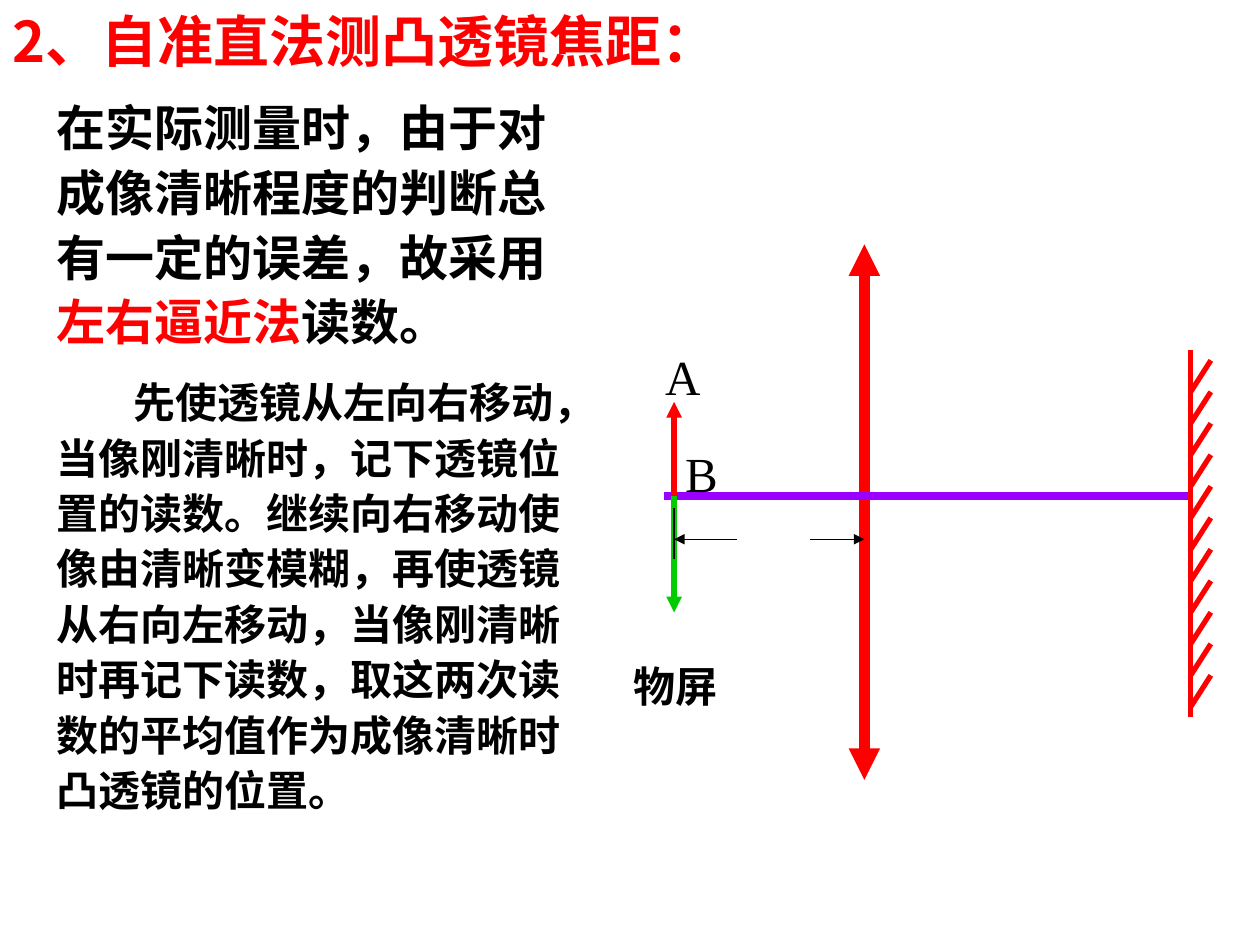
"""Build a slide on measuring a convex lens's focal length by autocollimation."""
from pptx import Presentation
from pptx.dml.color import RGBColor as RGB
from pptx.enum.shapes import MSO_CONNECTOR as CONN
from pptx.enum.text import MSO_ANCHOR as ANCHOR, MSO_AUTO_SIZE as AUTO, PP_ALIGN as ALIGN
from pptx.oxml.ns import qn
from pptx.util import Inches, Pt
from lxml.etree import SubElement

RED, BLACK, PURPLE, GREEN = "FF0000", "000000", "9900FF", "00CC00"
CJK, LATIN = "Noto Sans CJK SC", "Times New Roman"

prs = Presentation()
prs.slide_width, prs.slide_height = Inches(10), Inches(7.5)
COL, ROW = prs.slide_width / 100, prs.slide_height / 75
s = prs.slides.add_slide(prs.slide_layouts[1])


def write(sp, box, paras, size, bold=True, font=LATIN):
    """Place a text shape on the grid and fill it with coloured runs."""
    for name, value, unit in zip(("left", "top", "width", "height"), box, (COL, ROW) * 2):
        setattr(sp, name, round(value * unit))
    tf = sp.text_frame
    for name, value in dict(word_wrap=True, auto_size=AUTO.NONE, vertical_anchor=ANCHOR.TOP).items():
        setattr(tf, name, value)
    for i, runs in enumerate(paras):
        p = tf.add_paragraph() if i else tf.paragraphs[0]
        p.alignment, p.space_before = ALIGN.LEFT, Pt(0)
        for text, color in runs:
            r = p.add_run()
            r.text = text
            for name, value in dict(size=Pt(size), bold=bold, name=font).items():
                setattr(r.font, name, value)
            r.font.color.rgb = RGB.from_string(color)
            SubElement(r.font._element, qn("a:ea")).set("typeface", CJK)
    return tf


def line(shapes, x1, y1, x2, y2, color, width, arrow=False):
    """Draw a straight line on the grid, with an optional end arrow."""
    c = shapes.add_connector(CONN.STRAIGHT, *(round(v * u) for v, u in zip((x1, y1, x2, y2), (COL, ROW) * 2)))
    c.line.color.rgb = RGB.from_string(color)
    c.line.width = Pt(width)
    if arrow:
        SubElement(c.line._get_or_add_ln(), qn("a:tailEnd")).set("type", "triangle")
    SubElement(c._element.spPr, qn("a:effectLst"))


write(s.shapes.title, (0, 0, 79.2, 6.4), [[("2、自准直法测凸透镜焦距：", RED)]], 32, font=CJK)

body = write(s.placeholders[1], (3.5, 6.8, 42.9, 59.3), [
    [("在实际测量时，由于对成像清晰程度的判断总有一定的误差，故采用", BLACK),
     ("左右逼近法", RED), ("读数。", BLACK)],
    [("先使透镜从左向右移动，当像刚清晰时，记下透镜位置的读数。继续向右移动使像由清晰变模糊，"
      "再使透镜从右向左移动，当像刚清晰时再记下读数，取这两次读数的平均值作为成像清晰时凸透镜的位置。", BLACK)],
], 28)
for p, indent, before, size in zip(body.paragraphs, (0, 6.1), (0, 12), (28, 24)):
    p.line_spacing, p.space_before = 1.1, Pt(before)
    pPr = p._p.get_or_add_pPr()
    pPr.set("marL", "0")
    pPr.set("indent", str(round(indent * COL)))
    SubElement(pPr, qn("a:buNone"))
    for r in p.runs:
        r.font.size = Pt(size)

diagram = s.shapes.add_group_shape().shapes
LENS, OBJECT, MIRROR, AXIS, FOCUS = 68.6, 53.5, 94.5, 39.4, 42.8
line(diagram, LENS, 32.7, LENS, 61.9, RED, 6, True)
line(diagram, LENS, 48.7, LENS, 19.4, RED, 6, True)
line(diagram, 52.7, AXIS, MIRROR, AXIS, PURPLE, 4.5)
line(diagram, OBJECT, AXIS, OBJECT, 31.9, RED, 3, True)
line(diagram, MIRROR, 27.8, MIRROR, 56.9, RED, 3)
for i in range(11):
    y = 28.6 + 2.5 * i
    line(diagram, MIRROR + 1.6, y, MIRROR, y + 2.5, RED, 3)
line(diagram, OBJECT, AXIS, OBJECT, 48.6, GREEN, 3, True)
line(diagram, 58.5, FOCUS, OBJECT, FOCUS, BLACK, 0.75, True)
line(diagram, 64.3, FOCUS, LENS, FOCUS, BLACK, 0.75, True)
line(diagram, OBJECT, 40.3, OBJECT, 44.4, BLACK, 0.75)

for text, box in (("A", (51.8, 27, 4.3, 6.7)), ("B", (53.4, 34.7, 5, 6.7))):
    write(diagram.add_textbox(0, 0, 0, 0), box, [[(text, BLACK)]], 28, bold=False)
write(diagram.add_textbox(0, 0, 0, 0), (49.3, 51.9, 13.3, 5), [[("物屏", BLACK)]], 24)

prs.save("out.pptx")
